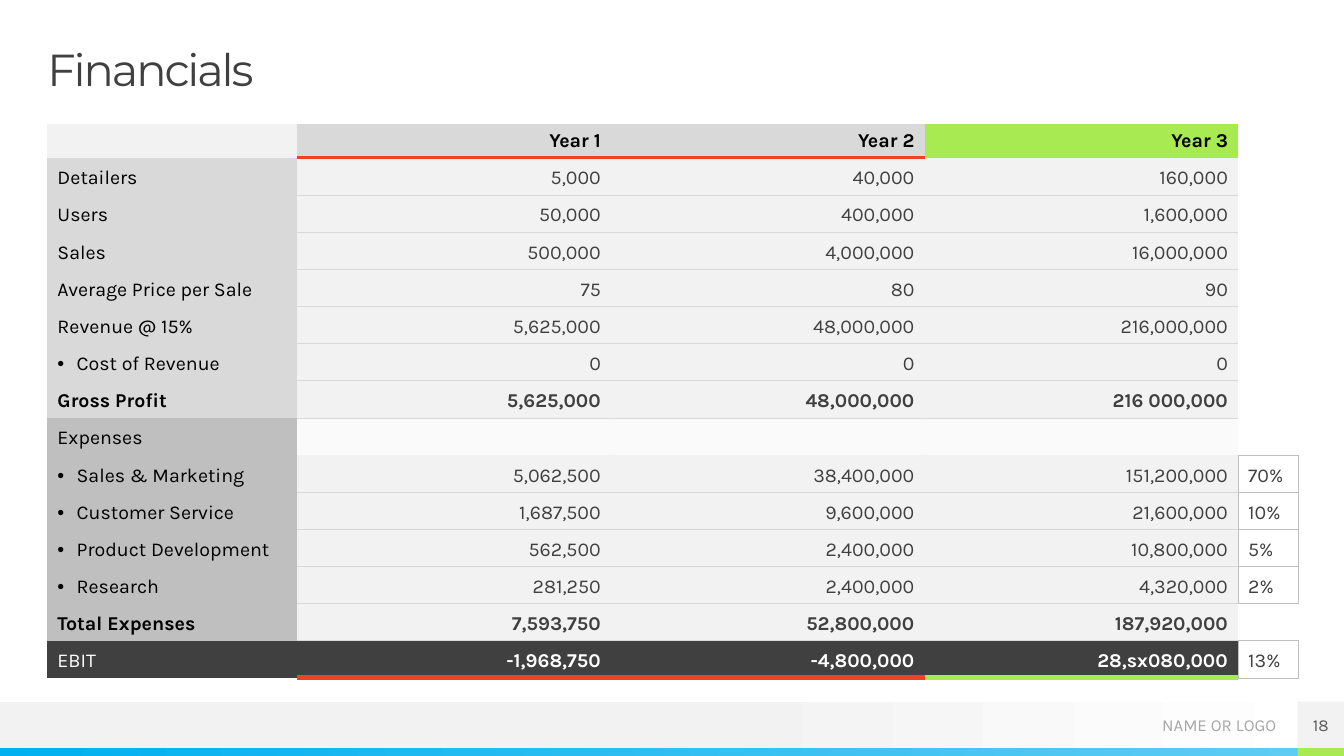
import pptx
import pptx.dml.color
import pptx.enum.dml
import pptx.enum.shapes
import pptx.enum.text
import pptx.oxml.ns
import pptx.util
from lxml import etree

Inches = pptx.util.Inches
Pt = pptx.util.Pt
RGBColor = pptx.dml.color.RGBColor
ALIGN = pptx.enum.text.PP_ALIGN
ANCHOR = pptx.enum.text.MSO_ANCHOR
qn = pptx.oxml.ns.qn

WHITE = RGBColor(0xFF, 0xFF, 0xFF)
BLACK = RGBColor(0x00, 0x00, 0x00)
CHARCOAL = RGBColor(0x40, 0x40, 0x40)
DARK_GRAY = RGBColor(0x59, 0x59, 0x59)
MID_GRAY = RGBColor(0xA6, 0xA6, 0xA6)
GRAY = RGBColor(0xBF, 0xBF, 0xBF)
LIGHT_GRAY = RGBColor(0xD9, 0xD9, 0xD9)
PALE_GRAY = RGBColor(0xF2, 0xF2, 0xF2)
RED = RGBColor(0xF1, 0x41, 0x24)
GREEN = RGBColor(0xA7, 0xEA, 0x52)
BLUE = RGBColor(0x00, 0xB0, 0xF0)
SKY = RGBColor(0x5E, 0xCC, 0xF3)

BODY_FONT = "Karla"
TITLE_FONT = "Montserrat"

ROWS = [
    ("", "Year 1", "Year 2", "Year 3", ""),
    ("Detailers", "5,000", "40,000", "160,000", ""),
    ("Users", "50,000", "400,000", "1,600,000", ""),
    ("Sales", "500,000", "4,000,000", "16,000,000", ""),
    ("Average Price per Sale", "75", "80", "90", ""),
    ("Revenue @ 15%", "5,625,000", "48,000,000", "216,000,000", ""),
    ("Cost of Revenue", "0", "0", "0", ""),
    ("Gross Profit", "5,625,000", "48,000,000", "216 000,000", ""),
    ("Expenses", "", "", "", ""),
    ("Sales & Marketing", "5,062,500", "38,400,000", "151,200,000", "70%"),
    ("Customer Service", "1,687,500", "9,600,000", "21,600,000", "10%"),
    ("Product Development", "562,500", "2,400,000", "10,800,000", "5%"),
    ("Research", "281,250", "2,400,000", "4,320,000", "2%"),
    ("Total Expenses", "7,593,750", "52,800,000", "187,920,000", ""),
    ("EBIT", "-1,968,750", "-4,800,000", "28,sx080,000", "13%"),
]
HEADER, GROSS_PROFIT, EXPENSES, TOTAL_EXPENSES, EBIT = 0, 7, 8, 13, 14
BULLET_ROWS = (6, 9, 10, 11, 12)
LABEL, YEAR_3, SHARE = 0, 3, 4
COLUMN_WIDTHS = (2.48, 3.11, 3.11, 3.11, 0.6)
HEADER_HEIGHT = 0.29


def set_font(font, **values):
    color = values.pop("color")
    for name, value in values.items():
        setattr(font, name, value)
    font.color.rgb = color


def remove_insets(frame):
    for side in ("left", "top", "right", "bottom"):
        setattr(frame, f"margin_{side}", 0)


def write_caption(frame, text, alignment, color):
    remove_insets(frame)
    frame.word_wrap = True
    frame.vertical_anchor = ANCHOR.MIDDLE
    paragraph = frame.paragraphs[0]
    paragraph.alignment = alignment
    run = paragraph.add_run()
    run.text = text
    set_font(run.font, name=BODY_FONT, size=Pt(12), color=color)


def add_block(slide, box, *stops):
    """Add a borderless rectangle; each stop is (position, colour), one stop is solid."""
    shape = slide.shapes.add_shape(
        pptx.enum.shapes.MSO_SHAPE.RECTANGLE, *map(Inches, box))
    shape.shadow.inherit = False
    shape.line.fill.background()
    if len(stops) == 1:
        shape.fill.solid()
        shape.fill.fore_color.rgb = stops[0][1]
        return shape
    shape.fill.gradient()
    shape.fill.gradient_angle = 0
    for stop, (position, color) in zip(shape.fill.gradient_stops, stops):
        stop.position = position
        stop.color.rgb = color
    return shape


def place_title(slide, box, text):
    title = slide.shapes.title
    title.left, title.top, title.width, title.height = map(Inches, box)
    frame = title.text_frame
    remove_insets(frame)
    frame.word_wrap = True
    frame.vertical_anchor = ANCHOR.TOP
    paragraph = frame.paragraphs[0]
    paragraph.alignment = ALIGN.LEFT
    paragraph.line_spacing = 0.9
    run = paragraph.add_run()
    run.text = text
    set_font(run.font, name=TITLE_FONT, size=Pt(32), color=CHARCOAL)
    run.font._element.set("spc", "-150")


def add_footer(slide, box):
    left, top, width, height = box
    stripe, badge = 0.08, 0.46
    bar = height - stripe
    badge_left = left + width - badge
    add_block(slide, (left, top, width, bar), (0.53, PALE_GRAY), (1, WHITE))
    add_block(slide, (left, top + bar, width - badge, stripe), (0, BLUE), (1, SKY))
    add_block(slide, (badge_left, top + bar, badge, stripe), (0, GREEN))
    name = slide.shapes.add_textbox(
        *map(Inches, (badge_left - 2.45, top, 2.24, 0.47)))
    write_caption(name.text_frame, "NAME OR LOGO", ALIGN.RIGHT, MID_GRAY)
    number = add_block(slide, (badge_left, top, badge, bar), (0, PALE_GRAY))
    write_caption(number.text_frame, "18", ALIGN.CENTER, DARK_GRAY)


def cell_fill(row, column):
    if column == SHARE:
        return WHITE
    if row == EBIT:
        return CHARCOAL
    if row == HEADER:
        return (PALE_GRAY, LIGHT_GRAY, LIGHT_GRAY, GREEN)[column]
    if column == LABEL:
        return LIGHT_GRAY if row < EXPENSES else GRAY
    return PALE_GRAY


def text_color(row, column):
    if row == EBIT and column != SHARE:
        return WHITE
    return BLACK if row == HEADER or column == LABEL else CHARCOAL


def is_bold(row, column):
    if row == EBIT:
        return LABEL < column < SHARE
    return row in (HEADER, GROSS_PROFIT, TOTAL_EXPENSES)


def line_below(row, column):
    """Return (colour, points) of the line under a cell, or None."""
    if column == SHARE:
        return (GRAY, 0.25) if row >= EXPENSES else None
    if column == LABEL or row < HEADER:
        return None
    if row == HEADER:
        return (RED, 3) if column < YEAR_3 else None
    if row == EBIT:
        return (GREEN if column == YEAR_3 else RED, 4.5)
    if row in (GROSS_PROFIT, EXPENSES, TOTAL_EXPENSES):
        return None
    return LIGHT_GRAY, 0.25


def draw_borders(cell, row, column):
    side = (GRAY, 0.25) if ROWS[row][SHARE] else None
    borders = {
        "a:lnL": side if column == SHARE else None,
        "a:lnR": side if column >= YEAR_3 else None,
        "a:lnT": line_below(row - 1, column),
        "a:lnB": line_below(row, column),
    }
    properties = cell._tc.get_or_add_tcPr()
    for tag, border in borders.items():
        if border:
            color, points = border
            line = etree.SubElement(properties, qn(tag), w=str(Pt(points)))
            solid = etree.SubElement(line, qn("a:solidFill"))
            etree.SubElement(solid, qn("a:srgbClr"), val=str(color))


def fill_cell(cell, row, column):
    cell.fill.solid()
    cell.fill.fore_color.rgb = cell_fill(row, column)
    if row == EXPENSES and LABEL < column < SHARE:
        color = next(cell._tc.tcPr.iter(qn("a:srgbClr")))
        etree.SubElement(color, qn("a:alpha"), val="36000")


def write_cell(cell, row, column):
    cell.vertical_anchor = ANCHOR.BOTTOM
    paragraph = cell.text_frame.paragraphs[0]
    text = ROWS[row][column]
    if not text:
        ending = etree.SubElement(paragraph._p, qn("a:endParaRPr"), sz="1400")
        etree.SubElement(ending, qn("a:latin"), typeface=BODY_FONT)
        return
    paragraph.alignment = ALIGN.RIGHT if LABEL < column < SHARE else ALIGN.LEFT
    if column == LABEL and row in BULLET_ROWS:
        properties = paragraph._p.get_or_add_pPr()
        properties.set("marL", str(Inches(0.19)))
        properties.set("indent", str(-Inches(0.19)))
        etree.SubElement(properties, qn("a:buFont"), typeface="Arial")
        etree.SubElement(properties, qn("a:buChar"), char="•")
    run = paragraph.add_run()
    run.text = text
    set_font(run.font, name=BODY_FONT, size=Pt(14),
             bold=is_bold(row, column), color=text_color(row, column))


def add_financial_table(slide, box):
    frame = slide.shapes.add_table(len(ROWS), len(COLUMN_WIDTHS), *map(Inches, box))
    table = frame.table
    table.first_row = table.horz_banding = False
    style = table._tbl.tblPr.find(qn("a:tableStyleId"))
    style.text = "{2D5ABB26-0587-4C30-8999-92F81FD0307C}"
    for column, width in zip(table.columns, COLUMN_WIDTHS):
        column.width = Inches(width)
    body_height = (box[3] - HEADER_HEIGHT) / (len(ROWS) - 1)
    for row, table_row in enumerate(table.rows):
        table_row.height = Inches(body_height if row else HEADER_HEIGHT)
        for column, cell in enumerate(table_row.cells):
            draw_borders(cell, row, column)
            fill_cell(cell, row, column)
            write_cell(cell, row, column)


def main():
    presentation = pptx.Presentation()
    presentation.slide_width = Inches(13.33)
    presentation.slide_height = Inches(7.5)
    slide = presentation.slides.add_slide(presentation.slide_layouts[5])
    add_footer(slide, (0, 6.96, 13.33, 0.54))
    place_title(slide, (0.47, 0.47, 12.4, 0.47), "Financials")
    add_financial_table(slide, (0.47, 1.23, 12.4, 5.45))
    presentation.save("out.pptx")


if __name__ == "__main__":
    main()
